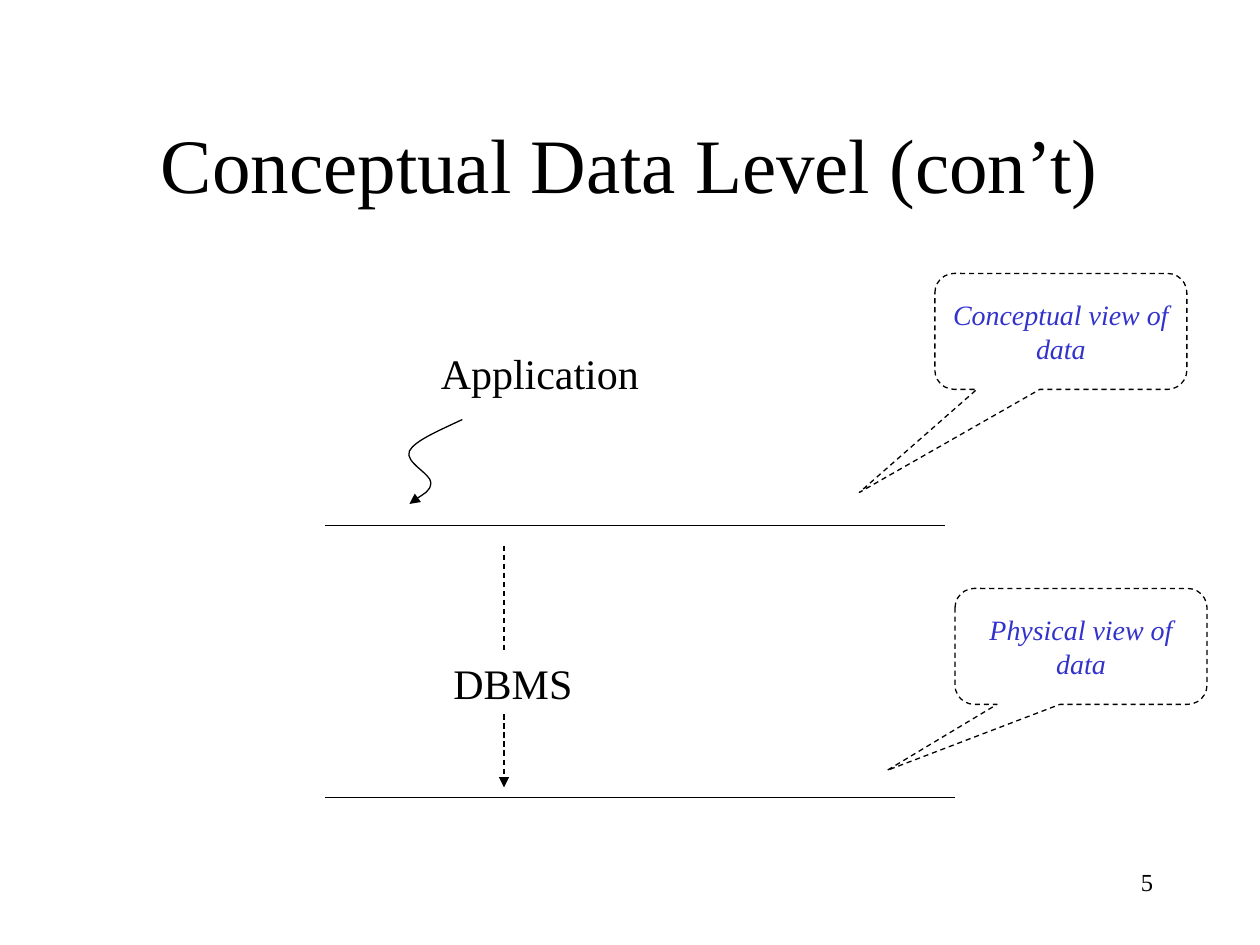
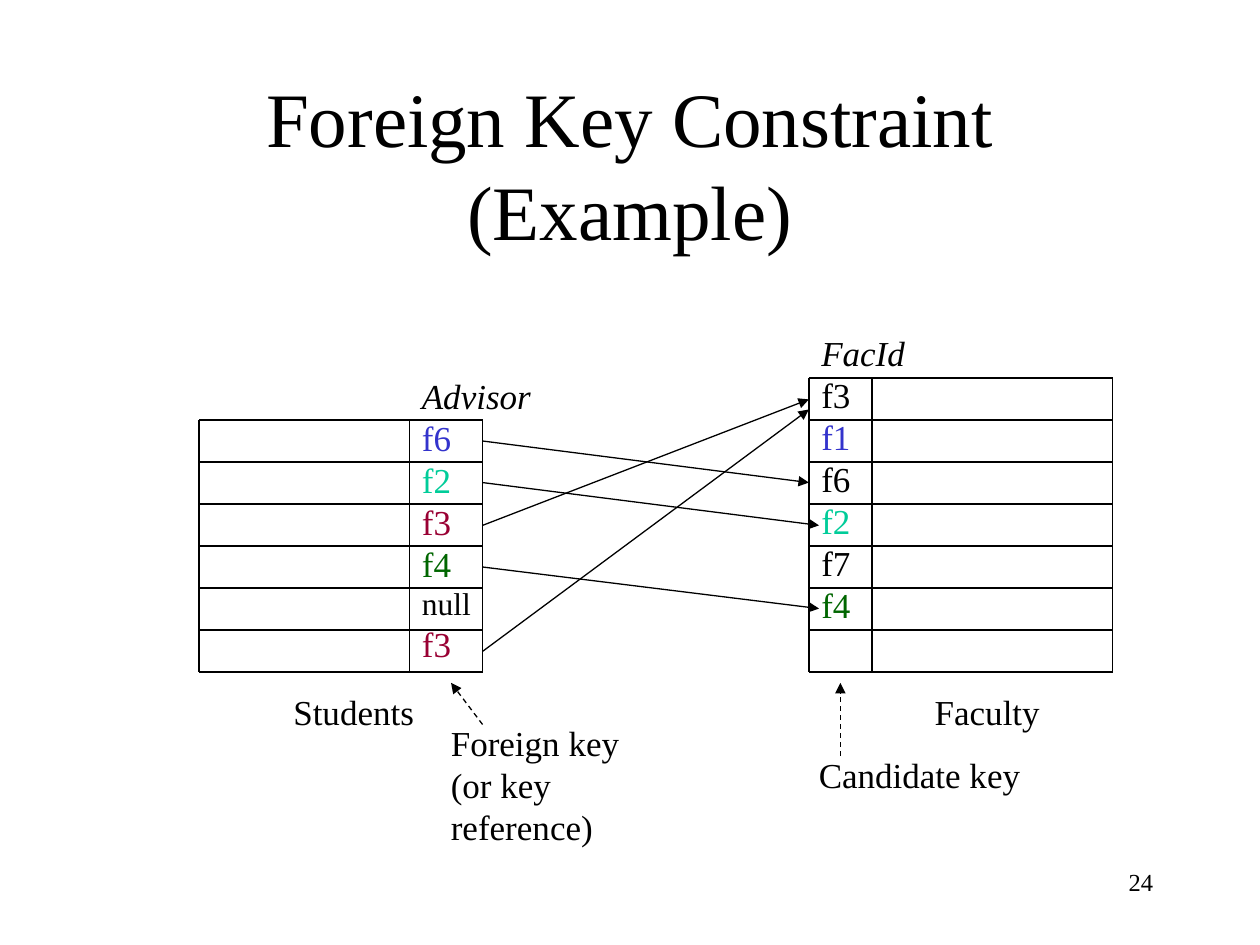
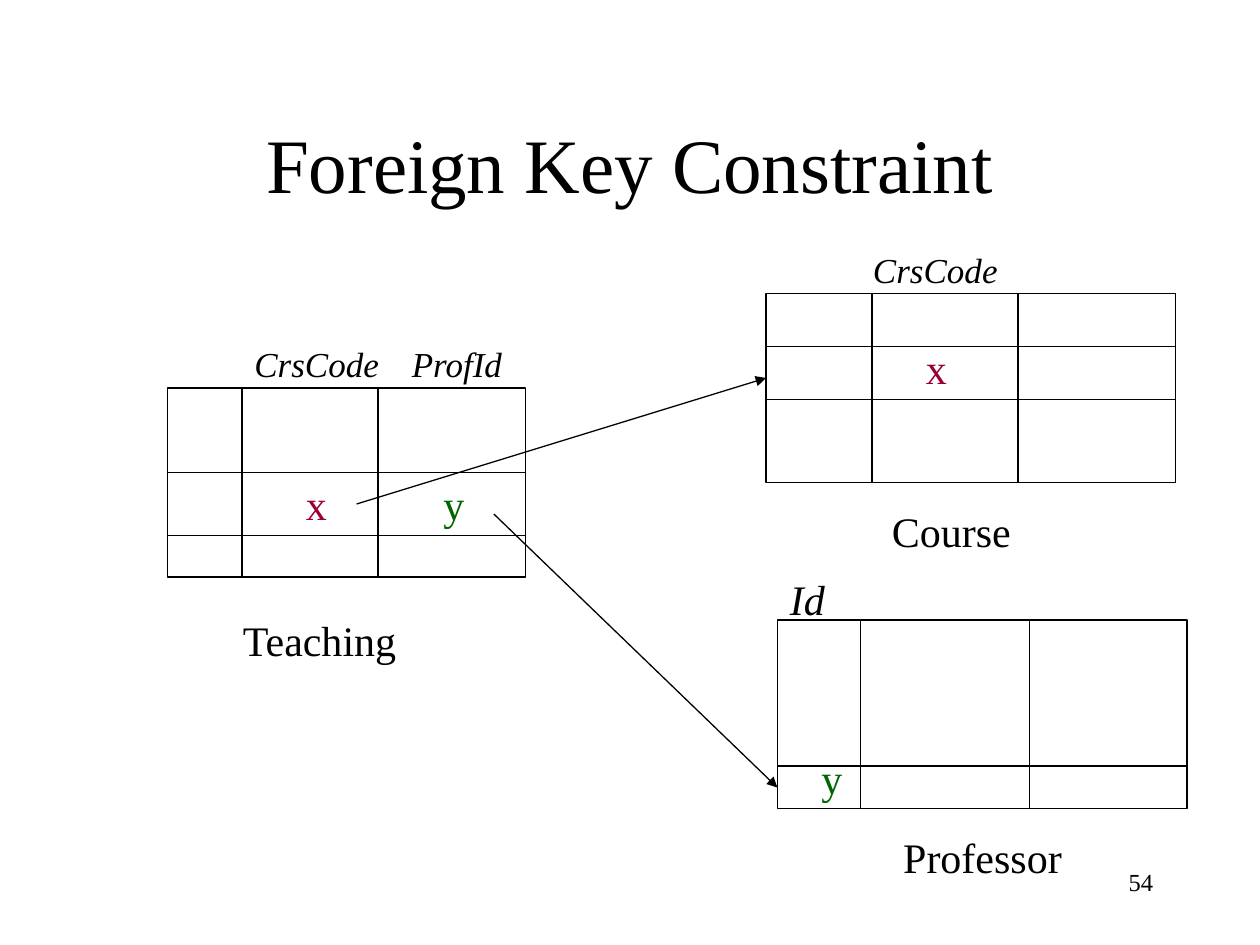
"""Build three slides on data levels and foreign key constraints."""
from dataclasses import dataclass
from typing import NamedTuple

from lxml.etree import SubElement
from pptx import Presentation
from pptx.dml.color import RGBColor
from pptx.enum.dml import MSO_LINE
from pptx.enum.shapes import MSO_CONNECTOR, MSO_SHAPE
from pptx.enum.text import MSO_ANCHOR, MSO_AUTO_SIZE, PP_ALIGN
from pptx.oxml.ns import qn
from pptx.slide import Slide
from pptx.util import Inches, Pt


@dataclass(frozen=True)
class Theme:
    font: str = "Times New Roman"
    black: str = "000000"
    white: str = "FFFFFF"
    blue: str = "3333CC"
    teal: str = "00CC99"
    red: str = "990033"
    green: str = "006600"
    title: int = 44
    large: int = 24
    medium: int = 20
    small: int = 18
    callout: int = 16
    number: int = 14
    line: float = 0.75


T = Theme()


class Box(NamedTuple):
    left: float
    top: float
    width: float
    height: float


class Text(NamedTuple):
    text: str
    size: int = T.medium
    color: str = T.black
    italic: bool = False


class Label(NamedTuple):
    box: Box
    lines: list[Text]
    wrap: bool = False
    align: PP_ALIGN = PP_ALIGN.LEFT


class Line(NamedTuple):
    x1: float
    y1: float
    x2: float
    y2: float
    arrow: bool = False
    dash: bool = False


class Grid(NamedTuple):
    xs: list[float]
    ys: list[float]
    boxed: bool = False


class Callout(NamedTuple):
    box: Box
    tip: tuple[float, float]
    text: str


def emu(box: Box) -> list[Inches]:
    return [Inches(v) for v in box]


def write(tf, lines: list[Text], align: PP_ALIGN) -> None:
    for i, line in enumerate(lines):
        p = tf.add_paragraph() if i else tf.paragraphs[0]
        p.alignment = align
        r = p.add_run()
        r.text = line.text
        r.font.name = T.font
        r.font.size = Pt(line.size)
        r.font.italic = line.italic
        r.font.color.rgb = RGBColor.from_string(line.color)


def style_line(sp, arrow: bool = False, dash: bool = False) -> None:
    sp.line.color.rgb = RGBColor.from_string(T.black)
    sp.line.width = Pt(T.line)
    if dash:
        sp.line.dash_style = MSO_LINE.DASH
    if arrow:
        SubElement(sp.line._get_or_add_ln(), qn("a:tailEnd"), type="triangle")


def add_label(s: Slide, label: Label) -> None:
    tf = s.shapes.add_textbox(*emu(label.box)).text_frame
    tf.word_wrap = label.wrap
    if not label.wrap:
        tf.auto_size = MSO_AUTO_SIZE.SHAPE_TO_FIT_TEXT
    write(tf, label.lines, label.align)


def add_line(s: Slide, line: Line) -> None:
    ends = [Inches(v) for v in line[:4]]
    sp = s.shapes.add_connector(MSO_CONNECTOR.STRAIGHT, *ends)
    style_line(sp, line.arrow, line.dash)
    SubElement(sp._element.spPr, qn("a:effectLst"))


def add_shape(s: Slide, kind: MSO_SHAPE, box: Box, dash: bool = False):
    sp = s.shapes.add_shape(kind, *emu(box))
    sp.shadow.inherit = False
    sp.fill.solid()
    sp.fill.fore_color.rgb = RGBColor.from_string(T.white)
    style_line(sp, dash=dash)
    return sp


def add_grid(s: Slide, grid: Grid) -> None:
    xs, ys = grid.xs, grid.ys
    left, right, top, bottom = xs[0], xs[-1], ys[0], ys[-1]
    if grid.boxed:
        add_shape(s, MSO_SHAPE.RECTANGLE, Box(left, top, right - left, bottom - top))
        xs, ys = xs[1:-1], ys[1:-1]
    for x in xs:
        add_line(s, Line(x, top, x, bottom))
    for y in ys:
        add_line(s, Line(left, y, right, y))


def add_callout(s: Slide, callout: Callout) -> None:
    sp = add_shape(s, MSO_SHAPE.ROUNDED_RECTANGULAR_CALLOUT, callout.box, dash=True)
    sp.adjustments[0], sp.adjustments[1] = callout.tip
    tf = sp.text_frame
    tf.word_wrap = True
    tf.vertical_anchor = MSO_ANCHOR.MIDDLE
    write(tf, [Text(callout.text, T.callout, T.blue, True)], PP_ALIGN.CENTER)


def add_curve(s: Slide, start: tuple[int, int], points: list[tuple[int, int]]) -> None:
    """Draw a curved arrow through Bezier points in hundredths of an inch."""
    builder = s.shapes.build_freeform(*start, scale=Inches(0.01))
    builder.add_line_segments(points, close=False)
    sp = builder.convert_to_shape()
    sp.fill.background()
    sp.shadow.inherit = False
    style_line(sp, arrow=True)
    segments = list(sp._element.iter(qn("a:lnTo")))
    outline = segments[0].getparent()
    for i in range(0, len(segments), 3):
        bezier = SubElement(outline, qn("a:cubicBezTo"))
        for segment in segments[i:i + 3]:
            bezier.append(segment[0])
            outline.remove(segment)


def add_slide(prs, title: str, number: int) -> Slide:
    s = prs.slides.add_slide(prs.slide_layouts[5])
    sp = s.shapes.title
    sp.left, sp.top, sp.width, sp.height = emu(Box(0.75, 0.67, 8.5, 1.25))
    tf = sp.text_frame
    tf.word_wrap = True
    tf.auto_size = MSO_AUTO_SIZE.NONE
    tf.vertical_anchor = MSO_ANCHOR.MIDDLE
    write(tf, [Text(title, T.title)], PP_ALIGN.CENTER)
    add_label(s, Label(Box(7.17, 6.83, 2.08, 0.5), [Text(str(number), T.number)],
                       True, PP_ALIGN.RIGHT))
    return s


def draw(s: Slide, grids: list[Grid], lines: list[Line], labels: list[Label]) -> None:
    for grid in grids:
        add_grid(s, grid)
    for line in lines:
        add_line(s, line)
    for label in labels:
        add_label(s, label)


def conceptual_level(prs) -> None:
    s = add_slide(prs, "Conceptual Data Level (con’t)", 5)
    lines = [
        Line(2.58, 4.17, 7.5, 4.17),
        Line(2.58, 6.33, 7.58, 6.33),
        Line(4, 4.33, 4, 5.17, dash=True),
        Line(4, 5.67, 4, 6.25, arrow=True, dash=True),
    ]
    labels = [
        Label(Box(3.4, 2.71, 1.8, 0.5), [Text("Application", T.large)]),
        Label(Box(3.5, 5.17, 1.15, 0.5), [Text("DBMS", T.large)]),
    ]
    draw(s, [], lines, labels)
    add_curve(s, (367, 333), [(348, 342), (329, 350), (325, 358),
                              (321, 367), (342, 376), (342, 383),
                              (342, 390), (328, 397), (325, 400)])
    for callout in (
        Callout(Box(7.42, 2.17, 2, 0.92), (-0.8, 1.39), "Conceptual view of data"),
        Callout(Box(7.58, 4.67, 2, 0.92), (-0.77, 1.07), "Physical view of data"),
    ):
        add_callout(s, callout)


def foreign_key_example(prs) -> None:
    s = add_slide(prs, "Foreign Key Constraint (Example)", 24)
    row_lines = [3 + i / 3 for i in range(8)]
    students = Grid([1.58, 3.25, 3.83], row_lines[1:])
    faculty = Grid([6.42, 6.92, 8.83], row_lines)
    references = [(3.5, 6.42, 3.83), (3.83, 6.5, 4.17), (4.17, 6.42, 3.17),
                  (5.17, 6.42, 3.25), (4.5, 6.5, 4.83)]
    lines = [Line(3.83, y1, x2, y2, arrow=True) for y1, x2, y2 in references]
    lines += [
        Line(3.83, 5.75, 3.58, 5.42, arrow=True, dash=True),
        Line(6.67, 6, 6.67, 5.42, arrow=True, dash=True),
    ]
    fac_ids = [Text("FacId", italic=True), Text("f3"), Text("f1", color=T.blue),
               Text("f6"), Text("f2", color=T.teal), Text("f7"),
               Text("f4", color=T.green)]
    advisors = [Text("Advisor", italic=True), Text("f6", color=T.blue),
                Text("f2", color=T.teal), Text("f3", color=T.red),
                Text("f4", color=T.green), Text("null", T.small),
                Text("f3", color=T.red)]
    labels = [
        Label(Box(6.42, 2.58, 0.87, 2.46), fac_ids),
        Label(Box(3.25, 2.92, 1.07, 2.42), advisors),
        Label(Box(2.23, 5.43, 1.17, 0.44), [Text("Students")]),
        Label(Box(7.32, 5.43, 1.04, 0.44), [Text("Faculty")]),
        Label(Box(3.48, 5.68, 1.7, 1.1),
              [Text("Foreign key"), Text("(or key reference)")], True),
        Label(Box(6.4, 5.93, 1.8, 0.43), [Text("Candidate key")]),
    ]
    draw(s, [students, faculty], lines, labels)


def foreign_key(prs) -> None:
    s = add_slide(prs, "Foreign Key Constraint", 54)
    teaching = Grid([1.33, 1.92, 3, 4.17], [3.08, 3.75, 4.25, 4.58], True)
    course = Grid([6.08, 6.92, 8.08, 9.33], [2.33, 2.75, 3.17, 3.83], True)
    professor = Grid([6.17, 6.83, 8.17, 9.42], [4.92, 6.08, 6.42], True)
    lines = [
        Line(3.92, 4.08, 6.17, 6.25, arrow=True),
        Line(2.83, 4, 6.08, 3, arrow=True),
    ]
    code = [Text("CrsCode", italic=True)]
    x, y = [Text("x", T.large, T.red)], [Text("y", T.large, T.green)]
    labels = [
        Label(Box(6.83, 1.92, 1.19, 0.43), code),
        Label(Box(1.92, 2.67, 1.19, 0.43), code),
        Label(Box(3.17, 2.67, 0.93, 0.43), [Text("ProfId", italic=True)]),
        Label(Box(6.17, 4.5, 0.48, 0.5), [Text("Id", T.large, italic=True)]),
        Label(Box(7.25, 2.67, 0.37, 0.5), x),
        Label(Box(2.33, 3.75, 0.37, 0.5), x),
        Label(Box(3.42, 3.75, 0.37, 0.5), y),
        Label(Box(6.42, 5.92, 0.37, 0.5), y),
        Label(Box(1.83, 4.83, 1.44, 0.5), [Text("Teaching", T.large)]),
        Label(Box(6.98, 3.96, 1.15, 0.5), [Text("Course", T.large)]),
        Label(Box(7.07, 6.55, 1.46, 0.5), [Text("Professor", T.large)]),
    ]
    draw(s, [teaching, course, professor], lines, labels)


def main() -> None:
    prs = Presentation()
    prs.slide_width, prs.slide_height = Inches(10), Inches(7.5)
    conceptual_level(prs)
    foreign_key_example(prs)
    foreign_key(prs)
    prs.save("out.pptx")


if __name__ == "__main__":
    main()
